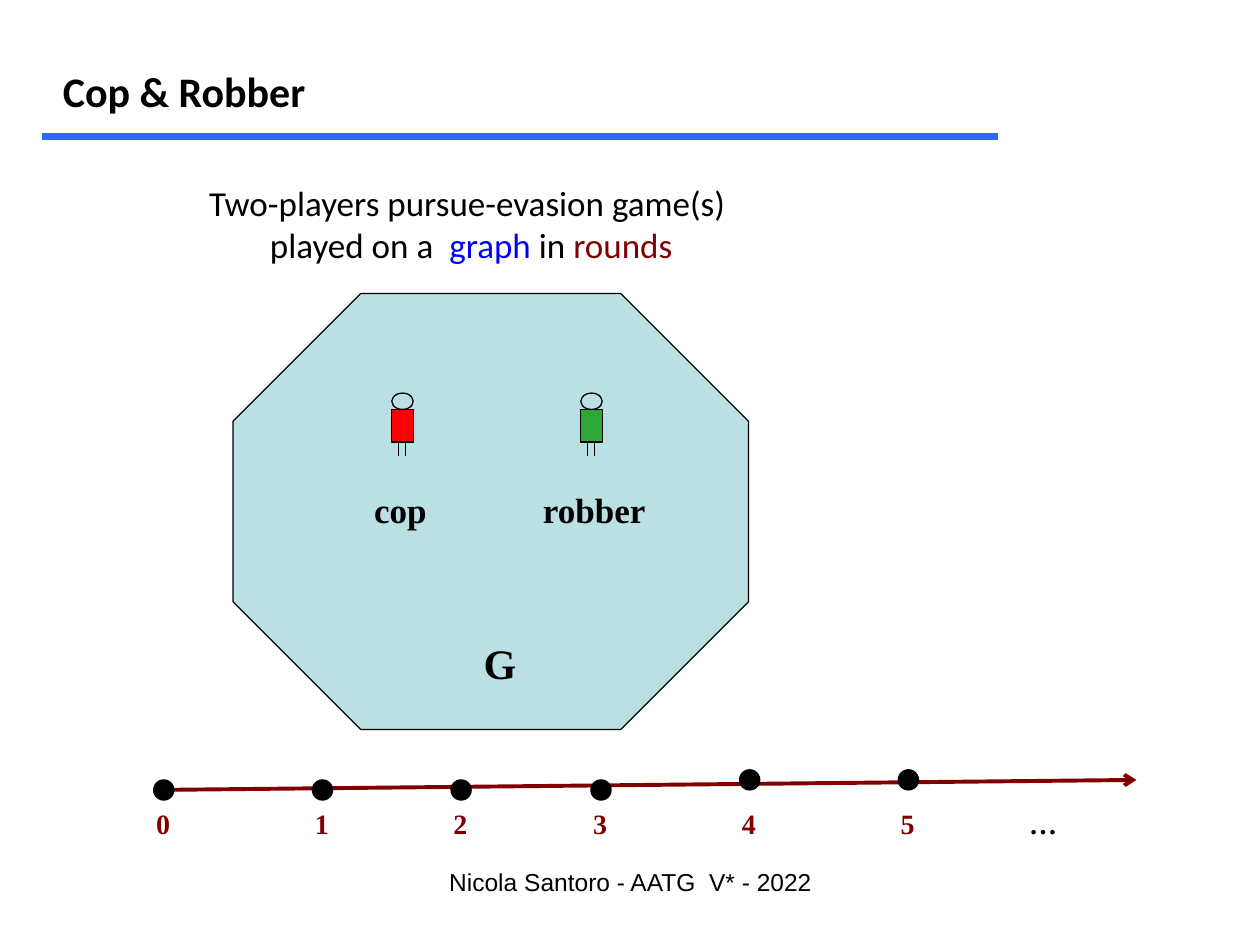
from dataclasses import dataclass

from lxml.etree import SubElement
from pptx import Presentation
from pptx.dml.color import RGBColor
from pptx.enum.shapes import MSO_CONNECTOR, MSO_SHAPE
from pptx.enum.text import MSO_ANCHOR, PP_ALIGN
from pptx.oxml.ns import qn
from pptx.util import Inches, Pt

COLORS = {
    "black": "000000",
    "rule": "3366FF",
    "graph": "BBE0E3",
    "cop": "FF0000",
    "robber": "2DA735",
    "link": "0000FF",
    "round": "800000",
}
SERIF = "Times New Roman"


@dataclass
class Player:
    name: str
    left: float
    label_left: float
    label_width: float


@dataclass
class Round:
    label: str
    left: float
    top: float


PLAYERS = [Player("robber", 4.61, 4.21, 1.02), Player("cop", 3.11, 2.87, 0.62)]
ROUNDS = [
    Round("0", 1.22, 6.19),
    Round("1", 2.48, 6.19),
    Round("2", 3.58, 6.19),
    Round("3", 4.69, 6.19),
    Round("4", 5.87, 6.11),
    Round("5", 7.13, 6.11),
]


def color(name: str) -> RGBColor:
    return RGBColor.from_string(COLORS[name])


def add_text(slide, text, left: float, top: float, width: float, height: float, *,
             size: float, font: str = SERIF, fill: str = "black", bold: bool = False,
             align=PP_ALIGN.LEFT, wrap: bool = False) -> None:
    """Text is a string, or a list of paragraphs made of (text, color) runs."""
    frame = slide.shapes.add_textbox(
        Inches(left), Inches(top), Inches(width), Inches(height)).text_frame
    frame.word_wrap = wrap
    frame.vertical_anchor = MSO_ANCHOR.TOP
    paragraphs = [[(text, fill)]] if isinstance(text, str) else text
    for index, runs in enumerate(paragraphs):
        paragraph = frame.add_paragraph() if index else frame.paragraphs[0]
        paragraph.alignment = align
        for words, run_color in runs:
            run = paragraph.add_run()
            run.text = words
            run.font.name = font
            run.font.size = Pt(size)
            run.font.bold = bold
            run.font.color.rgb = color(run_color)


def add_figure(slide, kind, left: float, top: float, width: float, height: float,
               fill: str | None = None) -> None:
    shape = slide.shapes.add_shape(
        kind, Inches(left), Inches(top), Inches(width), Inches(height))
    shape.shadow.inherit = False
    if fill:
        shape.fill.solid()
        shape.fill.fore_color.rgb = color(fill)
    else:
        shape.fill.background()
    shape.line.color.rgb = color("black")
    shape.line.width = Pt(0.75)


def add_line(slide, x1: float, y1: float, x2: float, y2: float, *,
             stroke: str = "black", width: float = 0.75, arrow: bool = False) -> None:
    line = slide.shapes.add_connector(
        MSO_CONNECTOR.STRAIGHT, Inches(x1), Inches(y1), Inches(x2), Inches(y2))
    line.line.color.rgb = color(stroke)
    line.line.width = Pt(width)
    if arrow:
        SubElement(line.line._get_or_add_ln(), qn("a:tailEnd"), type="arrow")
    SubElement(line._element.spPr, qn("a:effectLst"))


def add_player(slide, player: Player) -> None:
    add_figure(slide, MSO_SHAPE.OVAL, player.left, 3.12, 0.17, 0.13)
    add_figure(slide, MSO_SHAPE.RECTANGLE, player.left, 3.25, 0.17, 0.26, player.name)
    for offset in (0.055, 0.11):
        leg = player.left + offset
        add_line(slide, leg, 3.51, leg, 3.62)
    add_text(slide, player.name, player.label_left, 3.83, player.label_width, 0.44,
             size=20, bold=True)


def add_round(slide, step: Round) -> None:
    add_figure(slide, MSO_SHAPE.OVAL, step.left, step.top, 0.16, 0.16, "black")
    add_text(slide, step.label, step.left - 0.08, 6.35, 0.31, 0.37,
             size=16, fill="round", bold=True)


def main() -> None:
    presentation = Presentation()
    presentation.slide_width = Inches(10)
    presentation.slide_height = Inches(7.5)
    slide = presentation.slides.add_slide(presentation.slide_layouts[6])

    # Title and rule
    add_text(slide, "Cop & Robber", 0.4, 0.47, 2.15, 0.5,
             size=24, font="Calibri", bold=True)
    add_line(slide, 0.33, 1.08, 7.92, 1.08, stroke="rule", width=4)

    # Description of the game
    description = [
        [("Two-players pursue-evasion game(s) ", "black")],
        [("played on a  ", "black"), ("graph", "link"),
         (" in ", "black"), ("rounds", "round")],
    ]
    add_text(slide, description, 0.67, 1.39, 6.14, 0.77,
             size=20, font="Calibri", align=PP_ALIGN.CENTER, wrap=True)

    # Graph with its two players
    add_figure(slide, MSO_SHAPE.OCTAGON, 1.85, 2.33, 4.09, 3.46, "graph")
    add_text(slide, "G", 3.74, 5.01, 0.46, 0.5, size=24, bold=True)
    for player in PLAYERS:
        add_player(slide, player)

    # Timeline of rounds
    add_line(slide, 1.22, 6.27, 9.02, 6.19, stroke="round", width=2.25, arrow=True)
    for step in ROUNDS:
        add_round(slide, step)
    add_text(slide, "…", 8.07, 6.35, 0.43, 0.37, size=16, bold=True)

    # Footer
    add_text(slide, "Nicola Santoro - AATG  V* - 2022", 3.42, 6.83, 3.17, 0.5,
             size=14, font="Arial", align=PP_ALIGN.CENTER, wrap=True)

    presentation.save("out.pptx")


if __name__ == "__main__":
    main()
